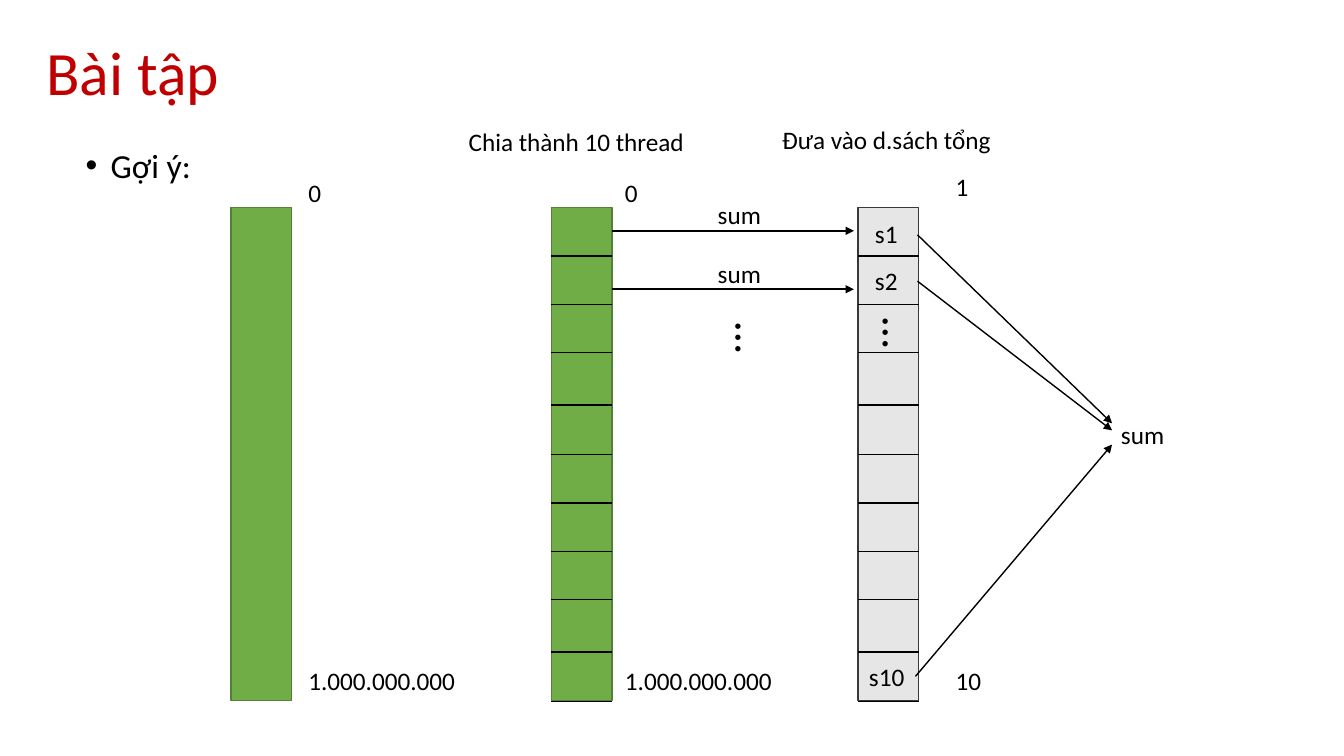
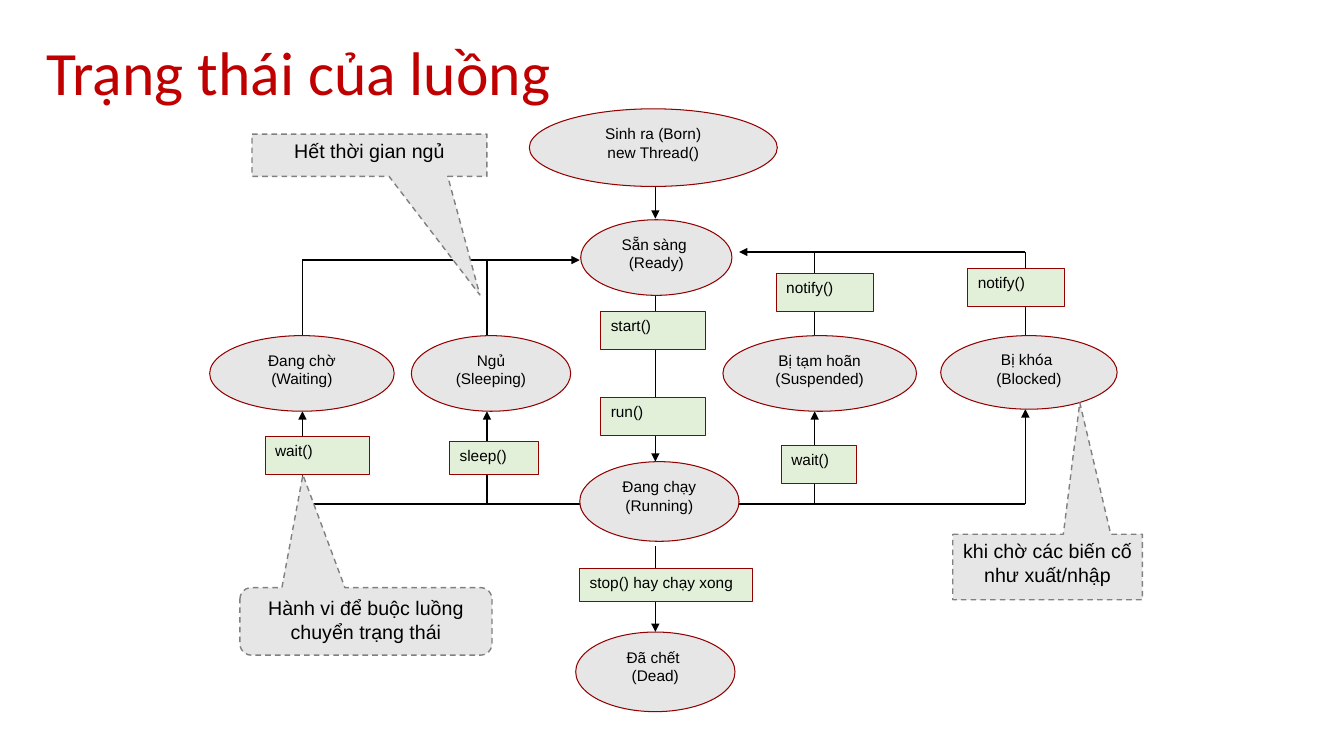
from pptx import Presentation
from pptx.dml.color import RGBColor
from pptx.enum.dml import MSO_LINE
from pptx.enum.shapes import MSO_CONNECTOR, MSO_SHAPE
from pptx.enum.text import MSO_ANCHOR, MSO_AUTO_SIZE, PP_ALIGN
from pptx.oxml.ns import qn
from pptx.util import Pt
from lxml.etree import SubElement

PX = 9144  # 100 px to the inch
BLACK = RGBColor(0x00, 0x00, 0x00)
TITLE_RED = RGBColor(0xC0, 0x00, 0x00)
EDGE_RED = RGBColor(0x92, 0x00, 0x00)
GREEN = RGBColor(0x70, 0xAD, 0x47)
GREEN_EDGE = RGBColor(0x53, 0x80, 0x35)
PALE_GREEN = RGBColor(0xE2, 0xF0, 0xD9)
GRAY = RGBColor(0xE7, 0xE6, 0xE6)
GRAY_EDGE = RGBColor(0x3B, 0x38, 0x38)
CALLOUT_EDGE = RGBColor(0x80, 0x80, 0x80)


def set_text(sp, text, size=18, font="Calibri", color=BLACK, align=PP_ALIGN.LEFT,
             anchor=MSO_ANCHOR.TOP, wrap=True, fit=MSO_AUTO_SIZE.NONE,
             margin=None, spacing=None):
    tf = sp.text_frame
    tf.text = text
    tf.word_wrap = wrap
    tf.auto_size = fit
    tf.vertical_anchor = anchor
    if margin is not None:
        tf.margin_left = tf.margin_top = tf.margin_right = tf.margin_bottom = margin * PX
    for p in tf.paragraphs:
        p.alignment = align
        p.line_spacing = spacing
        for r in p.runs:
            r.font.name, r.font.size, r.font.color.rgb = font, Pt(size), color
    return tf


def add_line(s, x1, y1, x2, y2, width=1, arrow=False):
    c = s.shapes.add_connector(MSO_CONNECTOR.STRAIGHT, x1 * PX, y1 * PX, x2 * PX, y2 * PX)
    c.line.color.rgb = BLACK
    c.line.width = Pt(width)
    sp_pr = c._element.spPr
    if arrow:
        SubElement(sp_pr.find(qn("a:ln")), qn("a:tailEnd"), type="triangle")
    SubElement(sp_pr, qn("a:effectLst"))


prs = Presentation()
prs.slide_width, prs.slide_height = 1333 * PX, 750 * PX

# Slides and titles
slides = []
for title in ("Bài tập", "Trạng thái của luồng"):
    s = prs.slides.add_slide(prs.slide_layouts[5])
    sp = s.shapes.title
    sp.left, sp.top, sp.width, sp.height = 46 * PX, 41 * PX, 721 * PX, 70 * PX
    set_text(sp, title, size=44, color=TITLE_RED, anchor=MSO_ANCHOR.MIDDLE,
             margin=0, spacing=0.85)
    slides.append(s)
exercise, states = slides

# Exercise: bullet
sp = exercise.shapes.add_textbox(75 * PX, 119 * PX, 1144 * PX, 93 * PX)
p = set_text(sp, "Gợi ý:", size=24, spacing=1.5).paragraphs[0]
p.space_before = Pt(10)
pPr = p._p.get_or_add_pPr()
pPr.set("marL", str(25 * PX))
pPr.set("indent", str(-25 * PX))
SubElement(pPr, qn("a:buFont"), typeface="Arial")
SubElement(pPr, qn("a:buChar"), char="•")

# Exercise: whole range, split range and list of sums
BAR_TOP, BAR_W, BAR_H = 206, 60, 489
for x, fill, edge, divided in ((229, GREEN, GREEN_EDGE, False),
                               (547, GREEN, GREEN_EDGE, True),
                               (851, GRAY, GRAY_EDGE, True)):
    sp = exercise.shapes.add_shape(MSO_SHAPE.RECTANGLE, x * PX, BAR_TOP * PX,
                                   BAR_W * PX, BAR_H * PX)
    sp.shadow.inherit = False
    sp.fill.solid()
    sp.fill.fore_color.rgb = fill
    sp.line.color.rgb = edge
    sp.line.width = Pt(1)
    if divided:
        for half in (254, 499):
            for step in (0, 48, 96, 148, 197):
                add_line(exercise, x, half + step, x + BAR_W, half + step)

# Exercise: arrows to the list and to the total
for y in (229, 287):
    add_line(exercise, 607, y, 847, y, width=1.5, arrow=True)
for x, y, end_y in ((910, 233, 420), (910, 279, 427), (908, 671, 441)):
    add_line(exercise, x, y, 1103, end_y, arrow=True)

# Exercise: labels
for text, x, y, w, wrap in (
        ("Chia thành 10 thread", 455, 120, 244, True),
        ("Đưa vào d.sách tổng", 766, 118, 244, True),
        ("0", 296, 171, 33, False),
        ("1.000.000.000", 296, 655, 169, True),
        ("0", 610, 171, 33, False),
        ("1.000.000.000", 610, 655, 169, True),
        ("1", 938, 165, 33, False),
        ("10", 938, 655, 57, True),
        ("sum", 702, 193, 63, False),
        ("sum", 702, 251, 63, False),
        ("sum", 1102, 411, 63, False),
        ("s1", 858, 212, 43, False),
        ("s2", 858, 258, 43, False),
        ("s10", 852, 651, 56, False)):
    sp = exercise.shapes.add_textbox(x * PX, y * PX, w * PX, 40 * PX)
    set_text(sp, text, wrap=wrap, fit=MSO_AUTO_SIZE.SHAPE_TO_FIT_TEXT)

# Exercise: vertical ellipses
for x, y in ((705, 310), (851, 305)):
    sp = exercise.shapes.add_textbox(x * PX, y * PX, 74 * PX, 41 * PX)
    tf = set_text(sp, "…", size=32, wrap=False, fit=MSO_AUTO_SIZE.SHAPE_TO_FIT_TEXT)
    tf._txBody.bodyPr.set("vert", "vert")

# States: transitions
for x1, y1, x2, y2, arrow in (
        # to Ready
        (300, 333, 300, 258, False),
        (300, 258, 575, 258, True),
        (483, 333, 483, 258, False),
        (1017, 333, 1017, 250, False),
        (1017, 250, 733, 250, True),
        (808, 333, 808, 250, False),
        # from Running
        (575, 500, 300, 500, False),
        (300, 500, 300, 408, True),
        (483, 500, 483, 408, True),
        (733, 500, 1017, 500, False),
        (808, 500, 808, 408, True),
        (1017, 500, 1017, 406, True),
        # down the middle
        (650, 183, 650, 217, True),
        (650, 292, 650, 458, True),
        (650, 542, 650, 627, True)):
    add_line(states, x1, y1, x2, y2, arrow=arrow)

# States: ovals, callouts and method labels
STATE = dict(size=11, font="Arial", align=PP_ALIGN.CENTER, margin=4)
NOTE = dict(size=14, font="Arial", align=PP_ALIGN.CENTER)
METHOD = dict(size=11, font="Arial")
OVAL, RECT = MSO_SHAPE.OVAL, MSO_SHAPE.RECTANGLE
CALLOUT, ROUND_CALLOUT = MSO_SHAPE.RECTANGULAR_CALLOUT, MSO_SHAPE.ROUNDED_RECTANGULAR_CALLOUT
for kind, text, x, y, w, h, fmt, adjust in (
        (OVAL, "Sinh ra (Born)\nnew Thread()", 525, 108, 246, 77, STATE, ()),
        (OVAL, "Sẵn sàng \n(Ready)", 576, 218, 150, 75, STATE, ()),
        (OVAL, "Đang chạy\n(Running)", 575, 458, 158, 79, STATE, ()),
        (OVAL, "Đang chờ\n(Waiting)", 208, 333, 183, 75, STATE, ()),
        (OVAL, "Ngủ\n(Sleeping)", 408, 333, 158, 75, STATE, ()),
        (OVAL, "Bị tạm hoãn\n(Suspended)", 717, 333, 192, 75, STATE, ()),
        (OVAL, "Bị khóa \n(Blocked)", 933, 333, 175, 73, STATE, ()),
        (OVAL, "Đã chết \n(Dead)", 571, 627, 158, 79, STATE, ()),
        (CALLOUT, "khi chờ các biến cố như xuất/nhập", 945, 530, 188, 65, NOTE, (0.17, -2.51)),
        (ROUND_CALLOUT, "Hành vi để buộc luồng chuyển trạng thái", 238, 583, 250, 67, NOTE,
         (-0.25, -2.17, 0.17)),
        (CALLOUT, "Hết thời gian ngủ", 250, 133, 233, 42, NOTE, (0.47, 3.3)),
        (RECT, "start()", 596, 309, 104, 38, METHOD, ()),
        (RECT, "run()", 596, 394, 104, 38, METHOD, ()),
        (RECT, "stop() hay chạy xong", 575, 564, 171, 33, METHOD, ()),
        (RECT, "notify()", 770, 271, 96, 38, METHOD, ()),
        (RECT, "notify()", 960, 266, 96, 38, METHOD, ()),
        (RECT, "wait()", 263, 433, 104, 38, METHOD, ()),
        (RECT, "sleep()", 446, 438, 88, 33, METHOD, ()),
        (RECT, "wait()", 775, 442, 75, 38, METHOD, ())):
    sp = states.shapes.add_shape(kind, x * PX, y * PX, w * PX, h * PX)
    sp.shadow.inherit = False
    sp.fill.solid()
    sp.fill.fore_color.rgb = PALE_GREEN if kind == RECT else GRAY
    sp.line.color.rgb = CALLOUT_EDGE if adjust else EDGE_RED
    sp.line.width = Pt(1 if adjust else 0.75)
    if adjust:
        sp.line.dash_style = MSO_LINE.DASH
    for i, value in enumerate(adjust):
        sp.adjustments[i] = value
    set_text(sp, text, **fmt)

prs.save("out.pptx")
